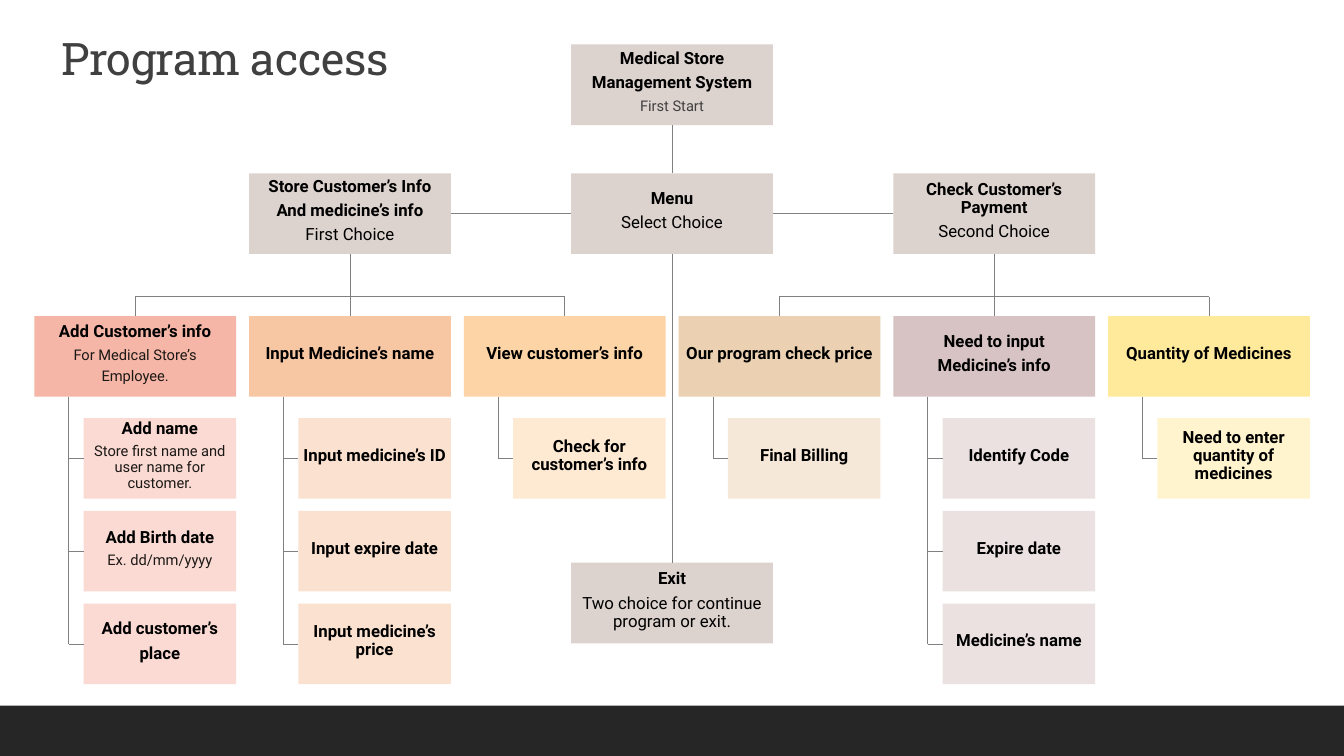
from lxml import etree
from pptx import Presentation
from pptx.dml.color import RGBColor
from pptx.enum.shapes import MSO_CONNECTOR, MSO_SHAPE
from pptx.enum.text import MSO_ANCHOR, MSO_AUTO_SIZE, PP_ALIGN
from pptx.oxml.ns import qn
from pptx.util import Inches, Pt

RECTANGLE = MSO_SHAPE.RECTANGLE
STRAIGHT = MSO_CONNECTOR.STRAIGHT
MIDDLE = MSO_ANCHOR.MIDDLE
NO_AUTOFIT = MSO_AUTO_SIZE.NONE
LEFT, CENTER = PP_ALIGN.LEFT, PP_ALIGN.CENTER
TOP_SIDE, LEFT_SIDE, BOTTOM_SIDE, RIGHT_SIDE = range(4)

# Grid, in inches
GRID_LEFT, GRID_TOP = 0.34, 0.44
COLUMN, ROW = 2.13, 0.92

# Lengths in columns and rows
BOX_WIDTH, BOX_HEIGHT = 0.94, 0.87
STEP_INDENT, STEP_WIDTH = 0.23, 0.71
SPINE_INDENT = 0.16
ROOT_ROW, CHOICE_ROW, BAR_ROW, TASK_ROW, STEP_ROW, EXIT_ROW = 0, 1.39, 2.72, 2.93, 4.03, 5.59
MIDDLE_COLUMN = 2.5

TRUNK = "DCD2CE"
HEADING = {"size": 12, "color": "000000", "bold": True}
CHOICE = {"size": 12, "color": "000000"}
NOTE = {"size": 10.5, "color": "1C1815"}
START = {"size": 10.5, "color": "404040"}

# Column by column: task fill, step fill, task lines, lines of each step
TASKS = [
    ("F5B6A7", "FADAD3",
     [("Add Customer’s info", HEADING), ("For Medical Store’s", NOTE), ("Employee.", NOTE)],
     [[("Add name", HEADING), ("Store first name and user name for customer.", NOTE)],
      [("Add Birth date", HEADING), ("Ex. dd/mm/yyyy", NOTE)],
      [("Add customer’s", HEADING), ("place", HEADING)]]),
    ("F7C6A2", "FBE2D0",
     [("Input Medicine’s name", HEADING)],
     [[("Input medicine’s ID", HEADING)],
      [("Input expire date", HEADING)],
      [("Input medicine’s price", HEADING)]]),
    ("FCD4A5", "FEE9D2",
     [("View customer’s info", HEADING)],
     [[("Check for customer’s info", HEADING)]]),
    ("EBD1B2", "F5E8D8",
     [("Our program check price", HEADING)],
     [[("Final Billing", HEADING)]]),
    ("D7C3C3", "EBE1E1",
     [("Need to input", HEADING), ("Medicine’s info", HEADING)],
     [[("Identify Code", HEADING)],
      [("Expire date", HEADING)],
      [("Medicine’s name", HEADING)]]),
    ("FFEA9C", "FFF4CE",
     [("Quantity of Medicines", HEADING)],
     [[("Need to enter quantity of medicines", HEADING)]]),
]


def rgb(value):
    return RGBColor.from_string(value)


def write(paragraph, text, size, color, bold=False, font="Roboto", align=CENTER,
          after=0, tracking=None):
    """Add one formatted run; after is a share of the size, tracking is in points."""
    paragraph.alignment = align
    paragraph.line_spacing = 0.9
    paragraph.space_before = Pt(0)
    paragraph.space_after = Pt(size * after)
    run = paragraph.add_run()
    run.text = text
    run.font.name = font
    run.font.size = Pt(size)
    run.font.bold = bold
    run.font.color.rgb = rgb(color)
    if tracking is not None:
        run.font._element.set("spc", str(round(tracking * 100)))


def point(column, row):
    return Inches(GRID_LEFT + column * COLUMN), Inches(GRID_TOP + row * ROW)


class Chart:
    """Draws on one slide in grid columns and rows."""

    line_color, line_width = "808080", 0.5
    footer_color, title_color = "262626", "404040"

    def __init__(self, deck):
        self.deck = deck
        self.slide = deck.slides.add_slide(deck.slide_layouts[5])

    def title(self, text, column, row, width, height):
        heading = self.slide.shapes.title
        heading.left, heading.top = point(column, row)
        heading.width, heading.height = Inches(width * COLUMN), Inches(height * ROW)
        frame = heading.text_frame
        frame.auto_size = NO_AUTOFIT
        frame.vertical_anchor = MIDDLE
        write(frame.paragraphs[0], text, size=32, color=self.title_color,
              font="Roboto Slab", align=LEFT, tracking=-0.5)

    def rectangle(self, left, top, width, height, fill):
        shape = self.slide.shapes.add_shape(RECTANGLE, left, top, width, height)
        shape.shadow.inherit = False
        shape.fill.solid()
        shape.fill.fore_color.rgb = rgb(fill)
        shape.line.fill.background()
        return shape

    def footer(self, share):
        """Fill the lowest share of the slide's height."""
        width, height = self.deck.slide_width, self.deck.slide_height
        depth = round(height * share)
        self.rectangle(0, height - depth, width, depth, self.footer_color)

    def box(self, column, row, lines, fill=TRUNK, width=BOX_WIDTH):
        shape = self.rectangle(*point(column, row), Inches(width * COLUMN),
                               Inches(BOX_HEIGHT * ROW), fill)
        frame = shape.text_frame
        frame.word_wrap = True
        frame.vertical_anchor = MIDDLE
        frame.margin_left = frame.margin_right = frame.margin_top = Inches(0.01)
        frame.margin_bottom = Inches(0.06)
        for index, (text, style) in enumerate(lines):
            paragraph = frame.add_paragraph() if index else frame.paragraphs[0]
            write(paragraph, text, after=0.37, **style)
        return shape

    def line(self, start, end, start_box=None, end_box=None):
        """Draw from start to end: a grid point, or a side number when its box is given."""
        begin = (0, 0) if start_box else point(*start)
        finish = (0, 0) if end_box else point(*end)
        connector = self.slide.shapes.add_connector(STRAIGHT, *begin, *finish)
        if start_box:
            connector.begin_connect(start_box, start)
        if end_box:
            connector.end_connect(end_box, end)
        connector.line.color.rgb = rgb(self.line_color)
        connector.line.width = Pt(self.line_width)
        etree.SubElement(connector._element.spPr, qn("a:effectLst"))


def draw_trunk(chart):
    """Draw the start, menu and exit boxes and return the two choice boxes."""
    root = chart.box(MIDDLE_COLUMN, ROOT_ROW, [
        ("Medical Store", HEADING), ("Management System", HEADING), ("First Start", START)])
    menu = chart.box(MIDDLE_COLUMN, CHOICE_ROW, [("Menu", HEADING), ("Select Choice", CHOICE)])
    leave = chart.box(MIDDLE_COLUMN, EXIT_ROW, [
        ("Exit", HEADING), ("Two choice for continue program or exit.", CHOICE)])
    store = chart.box(1, CHOICE_ROW, [
        ("Store Customer’s Info", HEADING), ("And medicine’s info", HEADING),
        ("First Choice", CHOICE)])
    payment = chart.box(4, CHOICE_ROW, [
        ("Check Customer’s Payment", HEADING), ("Second Choice", CHOICE)])
    chart.line(BOTTOM_SIDE, TOP_SIDE, root, menu)
    chart.line(BOTTOM_SIDE, TOP_SIDE, menu, leave)
    chart.line(LEFT_SIDE, RIGHT_SIDE, menu, store)
    chart.line(RIGHT_SIDE, LEFT_SIDE, menu, payment)
    return store, payment


def draw_task(chart, column, task_fill, step_fill, lines, steps):
    task = chart.box(column, TASK_ROW, lines, task_fill)
    chart.line((column + BOX_WIDTH / 2, BAR_ROW), TOP_SIDE, end_box=task)
    spine = column + SPINE_INDENT
    last_middle = STEP_ROW + len(steps) - 1 + BOX_HEIGHT / 2
    chart.line((spine, TASK_ROW + BOX_HEIGHT), (spine, last_middle))
    for index, step_lines in enumerate(steps):
        row = STEP_ROW + index
        step = chart.box(column + STEP_INDENT, row, step_lines, step_fill, STEP_WIDTH)
        chart.line((spine, row + BOX_HEIGHT / 2), LEFT_SIDE, end_box=step)


def main():
    deck = Presentation()
    deck.slide_width, deck.slide_height = Inches(13.33), Inches(7.5)
    chart = Chart(deck)
    chart.footer(1 / 15)
    chart.title("Program access", 0.08, -0.17, 1.83, 0.71)
    for choice, column in zip(draw_trunk(chart), (1, 4)):
        center = column + BOX_WIDTH / 2
        chart.line(BOTTOM_SIDE, (center, BAR_ROW), start_box=choice)
        chart.line((center - 1, BAR_ROW), (center + 1, BAR_ROW))
    for column, task in enumerate(TASKS):
        draw_task(chart, column, *task)
    deck.save("out.pptx")


if __name__ == "__main__":
    main()
